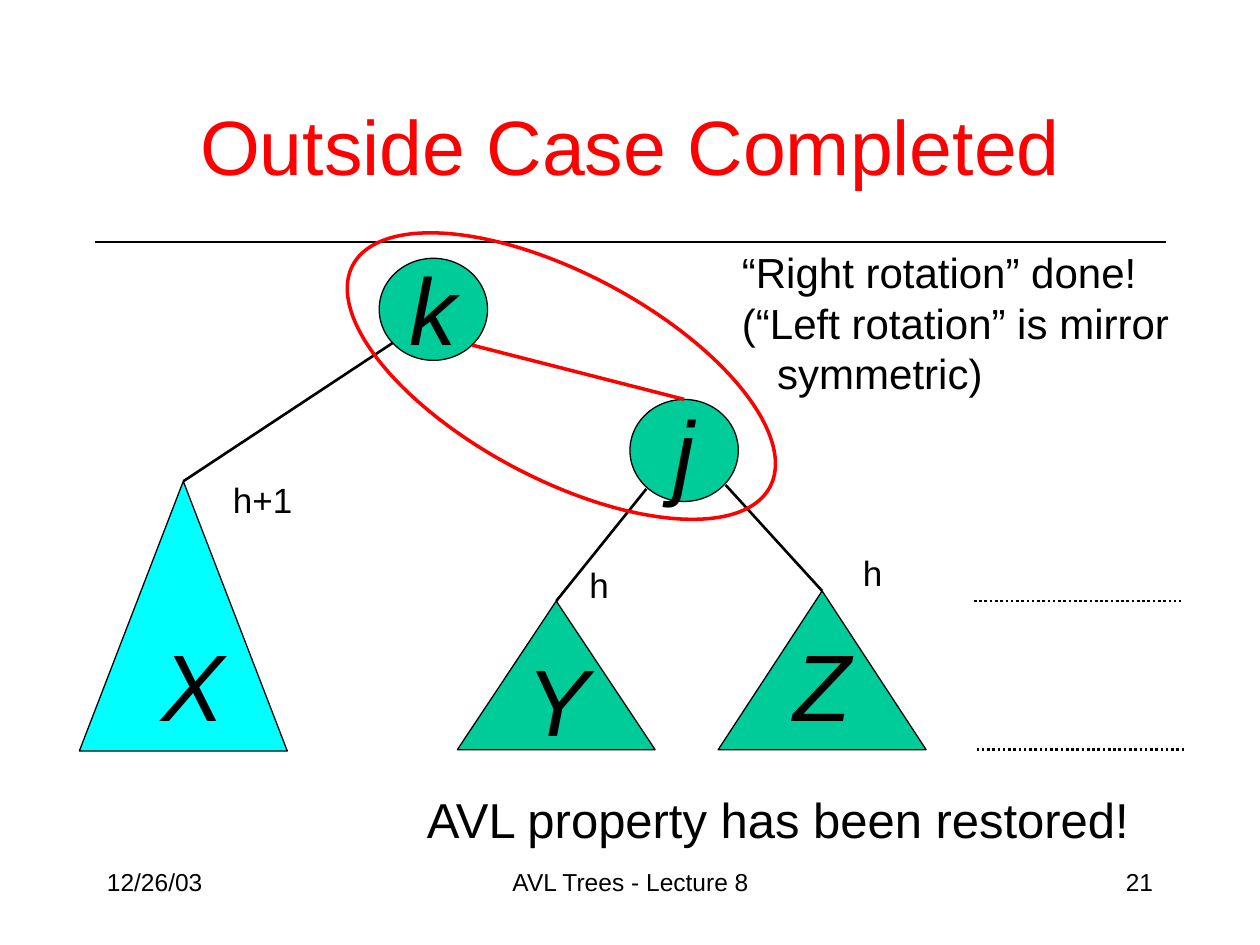
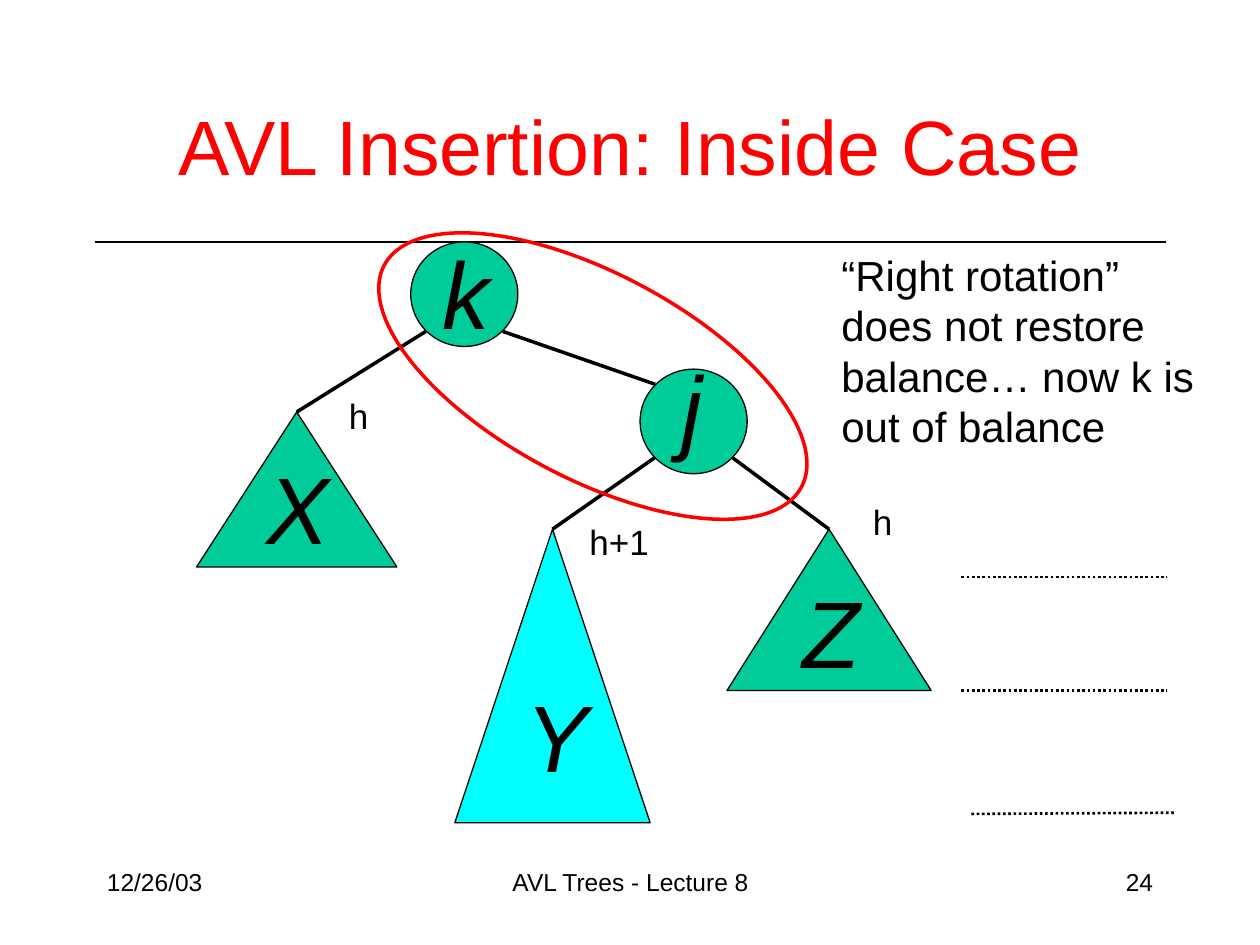
from dataclasses import dataclass
from typing import Optional

from lxml.etree import SubElement
from pptx import Presentation
from pptx.dml.color import RGBColor
from pptx.enum.dml import MSO_LINE
from pptx.enum.shapes import MSO_CONNECTOR, MSO_SHAPE
from pptx.enum.text import MSO_ANCHOR, MSO_AUTO_SIZE, PP_ALIGN
from pptx.oxml.ns import qn
from pptx.util import Inches, Pt

COLORS = {
    "ink": "000000",
    "accent": "FF0000",
    "normal": "00CC99",
    "tall": "00FFFF",
}
FONT = "Arial"
LETTER_SIZE = 54
LETTER_HEIGHT = 1.0

Point = tuple[float, float]
Box = tuple[float, float, float, float]


@dataclass
class Node:
    """A round tree node; without letter_at the letter sits in its centre."""
    letter: str
    box: Box
    letter_at: Optional[Point] = None


@dataclass
class Subtree:
    """A triangle hanging from a node by an edge that ends at its apex."""
    letter: str
    box: Box
    letter_at: Point
    joint: Point
    height: str
    height_at: Point
    color: str = "normal"


@dataclass
class Edge:
    """A straight line between two points."""
    start: Point
    end: Point
    width: float = 1.5
    color: str = "ink"
    dotted: bool = False


@dataclass
class Caption:
    """A block of free text; hanging gives the indent of its last line."""
    lines: list[str]
    box: Box
    size: int
    hanging: float = 0


@dataclass
class TreeSlide:
    """Everything that differs from one tree slide to the next."""
    number: int
    title: str
    nodes: list[Node]
    subtrees: list[Subtree]
    node_edge: Edge
    edge_width: float
    letter_width: float
    ring_left: float
    levels: list[Edge]
    captions: list[Caption]


def rgb(color: str) -> RGBColor:
    """Look up a named colour."""
    return RGBColor.from_string(COLORS[color])


def inches(values) -> list:
    """Turn plain numbers into lengths."""
    return [Inches(value) for value in values]


def style_text(frame, size, color="ink", italic=False, align=PP_ALIGN.LEFT) -> None:
    """Format every run of a text frame alike."""
    for paragraph in frame.paragraphs:
        paragraph.alignment = align
        for run in paragraph.runs:
            run.font.name = FONT
            run.font.size = Pt(size)
            run.font.italic = italic
            run.font.color.rgb = rgb(color)


def add_text(slide, text: str, box: Box, size: int, italic=False,
             align=PP_ALIGN.LEFT, wrap=True, grow=True):
    """Add a text box and return its frame."""
    frame = slide.shapes.add_textbox(*inches(box)).text_frame
    frame.text = text
    frame.word_wrap = wrap
    frame.auto_size = MSO_AUTO_SIZE.SHAPE_TO_FIT_TEXT if grow else MSO_AUTO_SIZE.NONE
    style_text(frame, size, italic=italic, align=align)
    return frame


def add_letter(slide, letter: str, at: Point, width: float) -> None:
    """Add a big italic letter with half a line of space above it."""
    frame = add_text(slide, letter, (*at, width, LETTER_HEIGHT), LETTER_SIZE, italic=True)
    properties = frame.paragraphs[0]._p.get_or_add_pPr()
    space = SubElement(properties, qn("a:spcBef"))
    SubElement(space, qn("a:spcPct")).set("val", "50000")


def add_outline(slide, kind, box: Box, fill: Optional[str] = None,
                line="ink", width=0.75):
    """Add a preset shape with an outline and an optional fill."""
    shape = slide.shapes.add_shape(kind, *inches(box))
    shape.shadow.inherit = False
    if fill:
        shape.fill.solid()
        shape.fill.fore_color.rgb = rgb(fill)
    else:
        shape.fill.background()
    shape.line.color.rgb = rgb(line)
    shape.line.width = Pt(width)
    return shape


def add_edge(slide, edge: Edge) -> None:
    """Draw a straight line, solid or dotted."""
    line = slide.shapes.add_connector(
        MSO_CONNECTOR.STRAIGHT, *inches(edge.start + edge.end))
    line.line.color.rgb = rgb(edge.color)
    line.line.width = Pt(edge.width)
    if edge.dotted:
        line.line.dash_style = MSO_LINE.ROUND_DOT
    SubElement(line._element.spPr, qn("a:effectLst"))


def add_node(slide, node: Node, letter_width: float) -> None:
    """Draw a round node with its letter."""
    circle = add_outline(slide, MSO_SHAPE.OVAL, node.box, "normal")
    if node.letter_at:
        add_letter(slide, node.letter, node.letter_at, letter_width)
        return
    frame = circle.text_frame
    frame.text = node.letter
    frame.word_wrap = False
    frame.vertical_anchor = MSO_ANCHOR.MIDDLE
    style_text(frame, LETTER_SIZE, italic=True, align=PP_ALIGN.CENTER)


def add_subtree(slide, subtree: Subtree, spec: TreeSlide) -> None:
    """Draw a subtree triangle, its letter, its edge and its height."""
    left, top, width, _ = subtree.box
    add_outline(slide, MSO_SHAPE.ISOSCELES_TRIANGLE, subtree.box, subtree.color)
    add_letter(slide, subtree.letter, subtree.letter_at, spec.letter_width)
    add_edge(slide, Edge(subtree.joint, (left + width / 2, top), spec.edge_width))
    label_width = 0.36 if subtree.height == "h" else 0.67
    add_text(slide, subtree.height, (*subtree.height_at, label_width, 0.43), 20, wrap=False)


def add_caption(slide, caption: Caption) -> None:
    """Add free text, indenting the last line when asked."""
    frame = add_text(slide, "\n".join(caption.lines), caption.box, caption.size, wrap=False)
    if caption.hanging:
        properties = frame.paragraphs[-1]._p.get_or_add_pPr()
        properties.set("marL", str(Inches(caption.hanging)))
        properties.set("indent", "0")


def add_frame(slide, title: str, number: int) -> None:
    """Set the title, the rule below it and the footer."""
    heading = slide.shapes.title
    heading.left, heading.top, heading.width, heading.height = inches((0.73, 0.71, 8.55, 0.88))
    heading.text_frame.text = title
    heading.text_frame.vertical_anchor = MSO_ANCHOR.MIDDLE
    style_text(heading.text_frame, 44, "accent", align=PP_ALIGN.CENTER)
    add_edge(slide, Edge((0.75, 1.92), (9.25, 1.92), 0.75))
    for text, left, width, align in (
        ("12/26/03", 0.75, 2.08, PP_ALIGN.LEFT),
        ("AVL Trees - Lecture 8", 3.42, 3.17, PP_ALIGN.CENTER),
        (str(number), 7.17, 2.08, PP_ALIGN.RIGHT),
    ):
        add_text(slide, text, (left, 6.83, width, 0.5), 14, align=align, grow=False)


def build_slide(deck, spec: TreeSlide) -> None:
    """Build one tree slide."""
    slide = deck.slides.add_slide(deck.slide_layouts[5])
    add_frame(slide, spec.title, spec.number)
    for node in spec.nodes:
        add_node(slide, node, spec.letter_width)
    for subtree in spec.subtrees:
        add_subtree(slide, subtree, spec)
    for edge in [spec.node_edge, *spec.levels]:
        add_edge(slide, edge)
    for caption in spec.captions:
        add_caption(slide, caption)
    ring = add_outline(slide, MSO_SHAPE.OVAL, (spec.ring_left, 2.17, 3.75, 1.63),
                       line="accent", width=2)
    ring.rotation = 28


def level(left: float, right: float, y: float, end_y: Optional[float] = None) -> Edge:
    """Return a dotted line that marks a depth in the tree."""
    return Edge((left, y), (right, y if end_y is None else end_y), dotted=True)


OUTSIDE_CASE = TreeSlide(
    number=21,
    title="Outside Case Completed",
    nodes=[
        Node("j", (5, 3.17, 0.86, 0.81)),
        Node("k", (3.01, 2.05, 0.86, 0.81), (3.15, 1.94)),
    ],
    subtrees=[
        Subtree("X", (0.63, 3.82, 1.65, 2.14), (1.18, 4.93), (3.12, 2.72),
                "h+1", (1.75, 3.75), "tall"),
        Subtree("Y", (3.63, 4.77, 1.57, 1.18), (4.08, 5.05), (5.13, 3.88),
                "h", (4.58, 4.42)),
        Subtree("Z", (5.7, 4.69, 1.65, 1.26), (6.2, 4.93), (5.76, 3.85),
                "h", (6.75, 4.33)),
    ],
    node_edge=Edge((3.75, 2.74), (5.43, 3.17), 2, "accent"),
    edge_width=1.5,
    letter_width=0.53,
    ring_left=2.58,
    levels=[level(7.73, 9.37, 4.77), level(7.75, 9.4, 5.95)],
    captions=[
        Caption(["“Right rotation” done!", "(“Left rotation” is mirror", "symmetric)"],
                (5.79, 1.91, 3.59, 1.3), 24, hanging=0.28),
        Caption(["AVL property has been restored!"], (3.29, 6.22, 5.83, 0.57), 28),
    ],
)

INSIDE_CASE = TreeSlide(
    number=24,
    title="AVL Insertion: Inside Case",
    nodes=[
        Node("j", (5.08, 2.93, 0.85, 0.83), (5.31, 2.72)),
        Node("k", (3.26, 1.92, 0.85, 0.83), (3.41, 1.82)),
    ],
    subtrees=[
        Subtree("X", (1.56, 3.27, 1.59, 1.23), (2.02, 3.52), (3.38, 2.63),
                "h", (2.67, 3.08)),
        Subtree("Y", (3.61, 4.2, 1.55, 2.33), (4.07, 5.33), (5.2, 3.63),
                "h+1", (4.58, 4.08), "tall"),
        Subtree("Z", (5.77, 4.2, 1.62, 1.28), (6.27, 4.51), (5.81, 3.63),
                "h", (6.83, 3.92)),
    ],
    node_edge=Edge((3.99, 2.63), (5.2, 3.05), 2),
    edge_width=2,
    letter_width=0.52,
    ring_left=2.83,
    levels=[level(7.63, 9.26, 4.58), level(7.63, 9.26, 5.48), level(7.71, 9.33, 6.46, 6.45)],
    captions=[
        Caption(["“Right rotation”", "does not restore", "balance… now k is", "out of balance"],
                (6.58, 1.93, 3, 1.7), 24),
    ],
)

presentation = Presentation()
presentation.slide_width, presentation.slide_height = inches((10, 7.5))
for tree_slide in (OUTSIDE_CASE, INSIDE_CASE):
    build_slide(presentation, tree_slide)
presentation.save("out.pptx")
